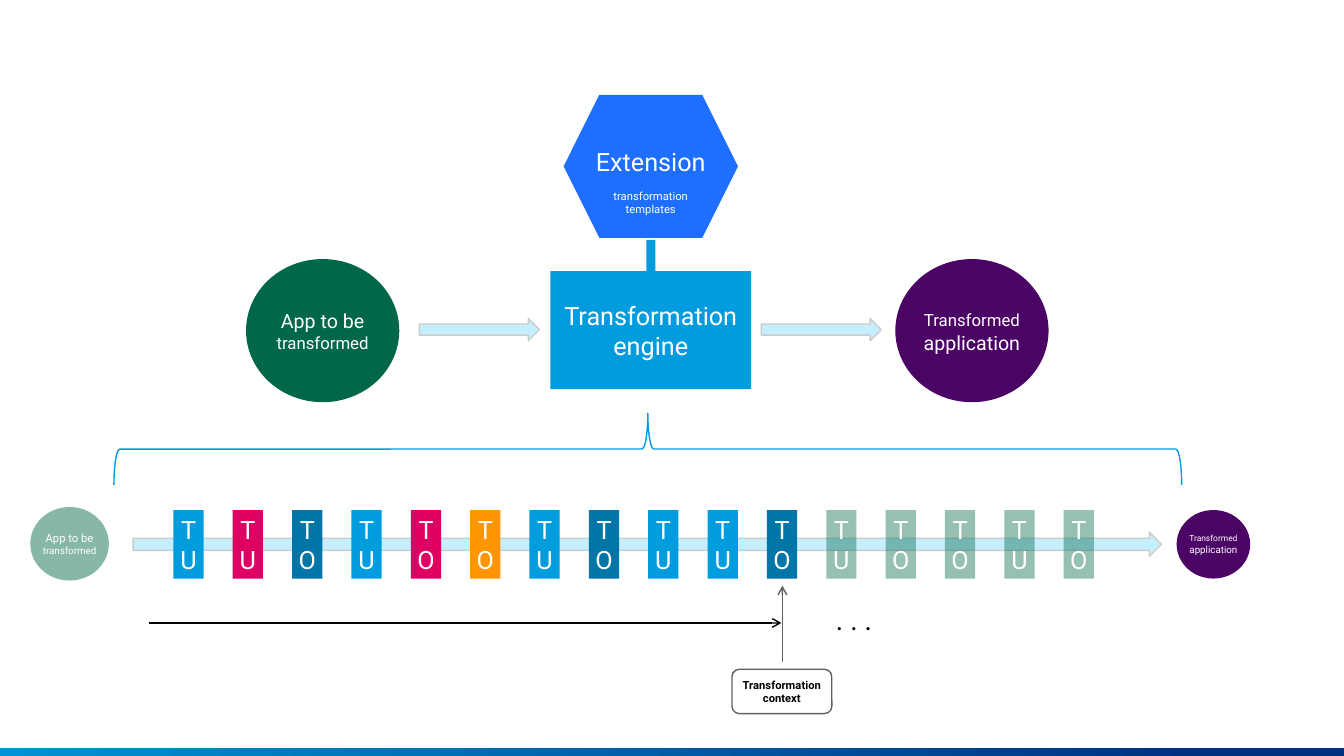
"""Build the slide that shows how an engine and its extension transform an application."""
import dataclasses

import pptx
import pptx.dml.color
import pptx.enum.shapes
import pptx.enum.text
import pptx.oxml.ns
import pptx.util
from lxml import etree

Inches = pptx.util.Inches
SHAPE = pptx.enum.shapes.MSO_SHAPE
ANCHOR = pptx.enum.text.MSO_ANCHOR


@dataclasses.dataclass(frozen=True)
class Theme:
    font: str = "Roboto"
    white: str = "FFFFFF"
    black: str = "000000"
    grey: str = "606060"
    silver: str = "CCCCCC"
    sky: str = "009CDE"
    pale: str = "C5EEFF"
    royal: str = "1E6EFF"
    steel: str = "0075A6"
    pink: str = "DE0063"
    orange: str = "FF9600"
    green: str = "006849"
    purple: str = "4B0365"
    bar_start: str = "0092D4"
    bar_end: str = "003181"
    dots: int = 20
    title: int = 18
    large: int = 14
    medium: int = 12
    small: int = 8
    tiny: int = 7
    least: int = 6
    line: int = 1


def rgb(color):
    return pptx.dml.color.RGBColor.from_string(color)


def add_xml(parent, tag, **attributes):
    return etree.SubElement(parent, pptx.oxml.ns.qn(tag), **attributes)


def write(box, paragraphs, font, color, bold=False, anchor=ANCHOR.MIDDLE, top=0, gap=0):
    frame = box.text_frame
    frame.word_wrap = True
    frame.vertical_anchor = anchor
    frame.margin_left = frame.margin_right = frame.margin_bottom = 0
    frame.margin_top = Inches(top)
    for index, spans in enumerate(paragraphs):
        para = frame.add_paragraph() if index else frame.paragraphs[0]
        para.alignment = pptx.enum.text.PP_ALIGN.CENTER
        if index and gap:
            para.space_before = pptx.util.Pt(gap)
        for text, size in spans:
            span = para.add_run()
            span.text = text
            span.font.name = font
            span.font.size = pptx.util.Pt(size)
            span.font.bold = bold
            span.font.color.rgb = rgb(color)


class Page:
    def __init__(self, slide, theme):
        self.slide = slide
        self.theme = theme

    def shape(self, kind, place, fill=None, line=None, opacity=100, paragraphs=(), **text_format):
        box = self.slide.shapes.add_shape(kind, *map(Inches, place))
        box.shadow.inherit = False
        if fill:
            box.fill.solid()
            box.fill.fore_color.rgb = rgb(fill)
            if opacity < 100:
                color = box._element.spPr.find(".//" + pptx.oxml.ns.qn("a:srgbClr"))
                add_xml(color, "a:alpha", val=str(opacity * 1000))
        else:
            box.fill.background()
        if line:
            box.line.color.rgb = rgb(line)
            box.line.width = pptx.util.Pt(self.theme.line)
        else:
            box.line.fill.background()
        if paragraphs:
            text_format.setdefault("color", self.theme.white)
            write(box, paragraphs, self.theme.font, **text_format)
        return box

    def block_arrow(self, place):
        return self.shape(SHAPE.RIGHT_ARROW, place, self.theme.pale, self.theme.silver)

    def gradient_bar(self, place):
        bar = self.shape(SHAPE.RECTANGLE, place)
        bar.fill.gradient()
        bar.fill.gradient_angle = 0
        colors = (self.theme.bar_start, self.theme.bar_end)
        for stop, color, position in zip(bar.fill.gradient_stops, colors, (0, 0.89)):
            stop.color.rgb = rgb(color)
            stop.position = position

    def arrow(self, start, end, color):
        straight = pptx.enum.shapes.MSO_CONNECTOR.STRAIGHT
        line = self.slide.shapes.add_connector(straight, *map(Inches, start + end))
        line.line.color.rgb = rgb(color)
        line.line.width = pptx.util.Pt(self.theme.line)
        add_xml(line.line._get_or_add_ln(), "a:tailEnd", type="arrow")
        add_xml(line._element.spPr, "a:effectLst")

    def text(self, place, paragraphs, **text_format):
        box = self.slide.shapes.add_textbox(*map(Inches, place))
        write(box, paragraphs, self.theme.font, **text_format)


def draw_overview(page):
    theme = page.theme
    page.shape(SHAPE.RECTANGLE, (5.46, 2.69, 1.99, 1.17), theme.sky,
               paragraphs=[[("Transformation engine", theme.title)]])
    page.shape(SHAPE.OVAL, (2.44, 2.57, 1.52, 1.42), theme.green,
               paragraphs=[[("App to be ", theme.large), ("transformed", theme.medium)]])
    page.shape(SHAPE.HEXAGON, (5.59, 0.94, 1.73, 1.42), theme.royal, top=0.29, gap=9,
               paragraphs=[[("Extension", theme.title)],
                           [("transformation templates", theme.small)]])
    page.shape(SHAPE.OVAL, (8.88, 2.57, 1.52, 1.42), theme.purple,
               paragraphs=[[("Transformed", theme.medium), (" application", theme.large)]])
    for left in (4.16, 7.55):
        page.block_arrow((left, 3.16, 1.19, 0.22))
    page.shape(SHAPE.RECTANGLE, (6.41, 2.38, 0.09, 0.31), theme.sky)
    brace = page.shape(SHAPE.LEFT_BRACE, (6.07, -0.84, 0.71, 10.59), line=theme.sky)
    brace.rotation = 90


def draw_pipeline(page):
    theme = page.theme
    page.block_arrow((1.32, 5.28, 10.2, 0.24))
    page.shape(SHAPE.OVAL, (0.3, 5.03, 0.78, 0.73), theme.green, opacity=47,
               paragraphs=[[("App to be ", theme.small), ("transformed", theme.tiny)]])
    page.shape(SHAPE.OVAL, (11.67, 5.06, 0.73, 0.68), theme.purple,
               paragraphs=[[("Transformed ", theme.least), ("application", theme.tiny)]])
    labels = "TU TU TO TU TO TO TU TO TU TU TO TU TO TO TU TO".split()
    done = [theme.sky, theme.pink, theme.steel, theme.sky, theme.pink, theme.orange,
            theme.sky, theme.steel, theme.sky, theme.sky, theme.steel]
    first, last = 1.72, 10.55
    step = (last - first) / (len(labels) - 1)
    for index, label in enumerate(labels):
        pending = index >= len(done)
        page.shape(SHAPE.RECTANGLE, (first + index * step, 5.06, 0.3, 0.68),
                   theme.green if pending else done[index],
                   opacity=41 if pending else 100, paragraphs=[[(label, theme.title)]])


def draw_context(page):
    theme = page.theme
    page.arrow((1.48, 6.18), (7.75, 6.18), theme.black)
    page.arrow((7.76, 6.57), (7.76, 5.81), theme.grey)
    page.text((7.86, 5.98, 1.22, 0.34), [[(". . .", theme.dots)]],
              color=theme.black, anchor=ANCHOR.TOP)
    page.shape(SHAPE.ROUNDED_RECTANGLE, (7.26, 6.64, 0.99, 0.44), line=theme.grey,
               color=theme.black, bold=True,
               paragraphs=[[("Transformation", theme.small)], [("context", theme.small)]])


def main():
    deck = pptx.Presentation()
    deck.slide_width, deck.slide_height = Inches(13.33), Inches(7.5)
    page = Page(deck.slides.add_slide(deck.slide_layouts[6]), Theme())
    page.gradient_bar((0, 7.42, 13.33, 0.08))
    draw_overview(page)
    draw_pipeline(page)
    draw_context(page)
    deck.save("out.pptx")


main()
